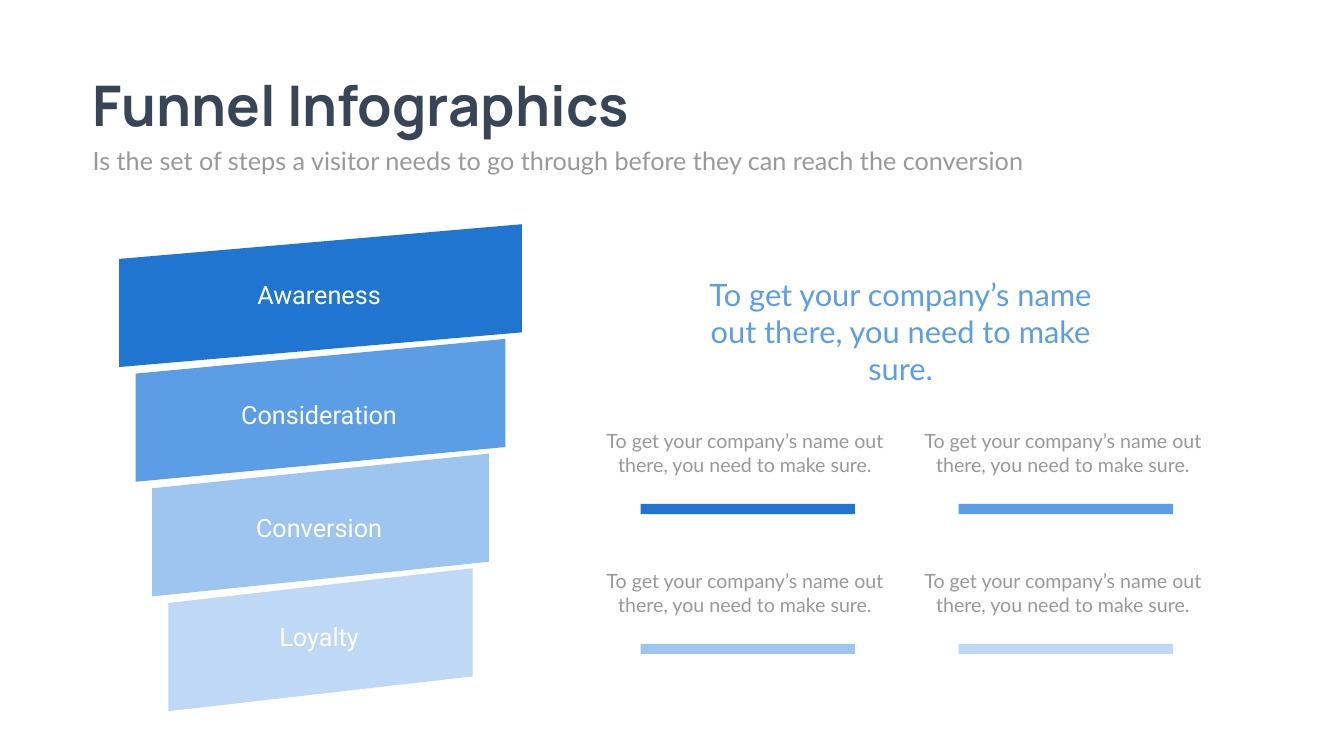
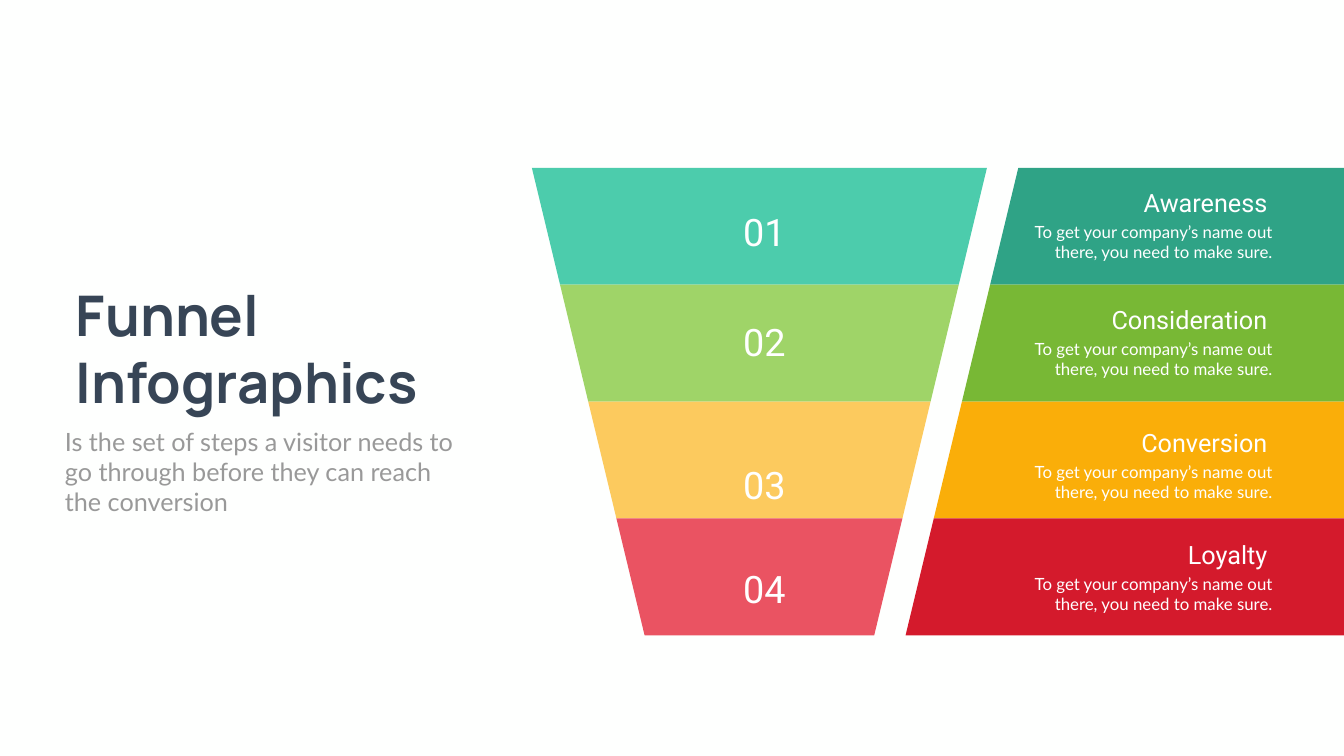
from pptx import Presentation
from pptx import util as u
from pptx.dml.color import RGBColor
from pptx.enum import shapes, text

WIDE, HIGH = 67.72, 38.1
HUE = {
    "back": "FEFFFE", "ink": "374556", "gray": "999999", "white": "FFFFFF",
    "blue1": "2075D1", "blue2": "5C9EE6", "blue3": "9DC5F0", "blue4": "BED8F5",
    "teal": "4CCCAC", "lime": "9FD468", "sand": "FCCA5E", "rose": "EA5362",
    "pine": "2FA386", "leaf": "78B835", "amber": "FAAE09", "red": "D41A2C",
}
LEFT, MID, RIGHT = text.PP_ALIGN.LEFT, text.PP_ALIGN.CENTER, text.PP_ALIGN.RIGHT

# Text styles: font values, colour, alignment
STYLE = {
    "title": ({"name": "Manrope", "size": u.Pt(80), "bold": True}, "ink", LEFT),
    "sub": ({"name": "Lato", "size": u.Pt(36)}, "gray", LEFT),
    "label": ({"name": "Roboto", "size": u.Pt(36)}, "white", MID),
    "lead": ({"name": "Lato", "size": u.Pt(44)}, "blue2", MID),
    "cell": ({"name": "Lato", "size": u.Pt(28)}, "gray", MID),
    "number": ({"name": "Roboto", "size": u.Pt(54)}, "white", MID),
    "step": ({"name": "Roboto", "size": u.Pt(36)}, "white", RIGHT),
    "note": ({"name": "Lato", "size": u.Pt(24)}, "white", RIGHT),
}
FRAME = {"word_wrap": True, "auto_size": text.MSO_AUTO_SIZE.SHAPE_TO_FIT_TEXT}

STEPS = ["Awareness", "Consideration", "Conversion", "Loyalty"]
BLUES = ["blue1", "blue2", "blue3", "blue4"]
SUB = ("Is the set of steps a visitor needs to go through "
       "before they can reach the conversion")
BODY = "To get your company’s name out there, you need to make sure."


def color(name):
    return RGBColor.from_string(HUE[name])


def apply(item, values):
    for key, value in values.items():
        setattr(item, key, value)


def paint(shape, hue):
    shape.shadow.inherit = False
    shape.fill.solid()
    shape.fill.fore_color.rgb = color(hue)
    shape.line.fill.background()


def write(slide, style, box, *lines):
    font, hue, align = STYLE[style]
    frame = slide.shapes.add_textbox(*map(u.Cm, box)).text_frame
    apply(frame, FRAME)
    frame.text = "\n".join(lines)
    for para in frame.paragraphs:
        para.alignment = align
        apply(para.font, font)
        para.font.color.rgb = color(hue)


def panel(slide, points, hue):
    """Filled outline through points given in centimetres."""
    first, *rest = [(u.Cm(x), u.Cm(y)) for x, y in points]
    pen = slide.shapes.build_freeform(*first)
    pen.add_line_segments(rest, close=True)
    paint(pen.convert_to_shape(), hue)


def bar(slide, box, hue):
    kind = shapes.MSO_SHAPE.RECTANGLE
    paint(slide.shapes.add_shape(kind, *map(u.Cm, box)), hue)


def page(deck):
    slide = deck.slides.add_slide(deck.slide_layouts[6])
    fill = slide.background.fill
    fill.solid()
    fill.fore_color.rgb = color("back")
    return slide


def slanted(slide):
    """Slanted blue funnel, narrowing evenly about its axis."""
    axis, slope, thick = 16.15, 1.75, 5.45
    for i, hue in enumerate(BLUES):
        left, top = 6 + 0.83 * i, 11.3 + 5.78 * i
        right = 2 * axis - left
        panel(slide, [(right, top + thick), (left, top + slope + thick),
                      (left, top + slope), (right, top)], hue)
    tops, widths = [13.97, 19.99, 25.7, 31.17], [10.54, 14.71, 14.71, 5.51]
    for name, top, width in zip(STEPS, tops, widths):
        write(slide, "label", (16.08 - width / 2, top, width, 1.8), name)


def grid(slide):
    """Two by two notes, each over a bar in its step's blue."""
    for i, hue in enumerate(BLUES):
        row, col = divmod(i, 2)
        x, y = 30.18 + 16.02 * col, 21.51 + 7.05 * row
        write(slide, "cell", (x, y, 14.71, 2.64), BODY)
        bar(slide, (x + 2.1, y + 3.89, 10.8, 0.51), hue)


def banded(slide):
    """Straight funnel with a matching band to the slide edge."""
    pitch, lean = 5.89, 1.42
    fronts = ["teal", "lime", "sand", "rose"]
    bands = ["pine", "leaf", "amber", "red"]
    for i, (front, band) in enumerate(zip(fronts, bands)):
        top, low = 8.46 + pitch * i, 8.46 + pitch * (i + 1)
        near, far = lean * i, lean * (i + 1)
        panel(slide, [(26.8 + near, top), (49.73 - near, top),
                      (49.73 - far, low), (26.8 + far, low)], front)
        panel(slide, [(51.31 - near, top), (WIDE, top),
                      (WIDE, low), (51.31 - far, low)], band)


def captions(slide):
    marks, heads = [10.39, 15.93, 23.16, 28.37], [9.3, 15.19, 21.39, 27.05]
    for i, (name, mark, head) in enumerate(zip(STEPS, marks, heads), 1):
        write(slide, "number", (34.37, mark, 8.28, 2.57), f"{i:02}")
        write(slide, "step", (51.66, head, 12.45, 1.8), name)
        write(slide, "note", (51.43, head + 1.75, 12.93, 3.33), BODY)


def main():
    deck = Presentation()
    deck.slide_width, deck.slide_height = u.Cm(WIDE), u.Cm(HIGH)

    # Slide 1: slanted funnel and notes
    slide = page(deck)
    write(slide, "title", (4.42, 3.43, 29.74, 3.68), "Funnel Infographics")
    write(slide, "sub", (4.42, 7.21, 52.88, 1.8), SUB)
    slanted(slide)
    write(slide, "lead", (34.16, 13.77, 22.45, 4.01), BODY)
    grid(slide)

    # Slide 2: funnel with bands
    slide = page(deck)
    banded(slide)
    write(slide, "title", (3.58, 14, 19.25, 7.09), "Funnel", "Infographics")
    write(slide, "sub", (3.02, 21.34, 20.12, 4.88), SUB)
    captions(slide)

    deck.save("out.pptx")


if __name__ == "__main__":
    main()
